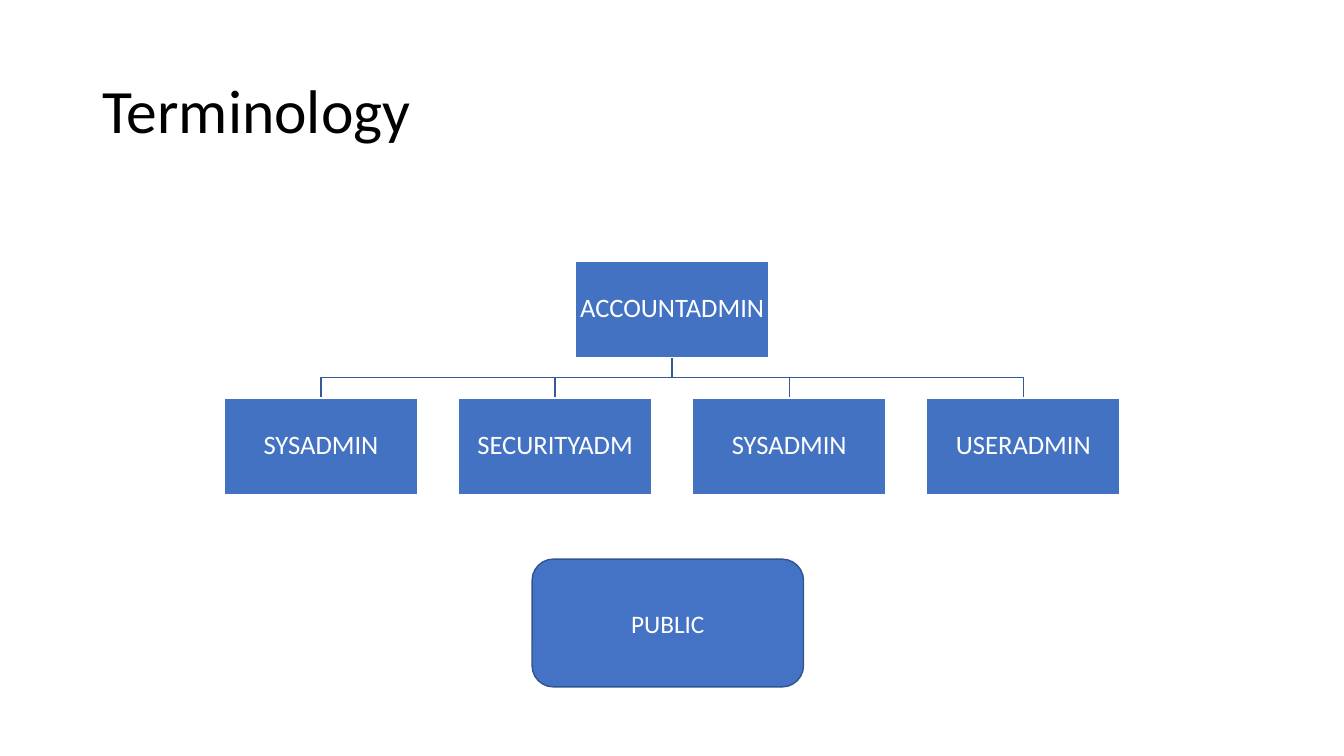
from pptx import Presentation
from pptx import util as u
from pptx.dml.color import RGBColor
from pptx.enum import shapes, text

FONT = "Calibri"
WHITE, BLACK = "FFFFFF", "000000"
ROLE_BLUE, BRANCH_BLUE = "4372C3", "345A99"
PUBLIC_BLUE, PUBLIC_EDGE = "4472C4", "31538F"


def color(hex_code):
    return RGBColor.from_string(hex_code)


class RoleSlide:
    """Holds the slide and its style; all lengths are in centimetres."""

    def __init__(self, slide):
        self.slide = slide

    def label(self, holder, wording, size, ink, align, margins, spacing):
        frame = holder.text_frame
        frame.word_wrap = True
        frame.vertical_anchor = text.MSO_ANCHOR.MIDDLE
        frame.margin_left = frame.margin_right = u.Cm(margins[0])
        frame.margin_top = frame.margin_bottom = u.Cm(margins[1])
        line = frame.paragraphs[0]
        line.text = wording
        line.alignment = align
        line.line_spacing = spacing
        line.font.name = FONT
        line.font.size = u.Pt(size)
        line.font.color.rgb = color(ink)

    def outline(self, shape, edge):
        shape.shadow.inherit = False
        shape.line.color.rgb = color(edge)
        shape.line.width = u.Pt(1)

    def title(self, wording, left, top, width, height):
        heading = self.slide.shapes.add_textbox(*map(u.Cm, (left, top, width, height)))
        self.label(heading, wording, 44, BLACK, text.PP_ALIGN.LEFT, (0.25, 0.13), 0.9)

    def box(self, wording, left, top, width, height, fill=ROLE_BLUE, edge=WHITE,
            kind=shapes.MSO_SHAPE.RECTANGLE, size=19, margins=(0.03, 0.03), spacing=0.9):
        role = self.slide.shapes.add_shape(kind, *map(u.Cm, (left, top, width, height)))
        role.fill.solid()
        role.fill.fore_color.rgb = color(fill)
        self.outline(role, edge)
        self.label(role, wording, size, WHITE, text.PP_ALIGN.CENTER, margins, spacing)

    def branch(self, start_x, start_y, end_x, end_y):
        """Draw an elbow line that turns halfway down."""
        middle_y = (start_y + end_y) / 2
        corners = [(start_x, middle_y), (end_x, middle_y), (end_x, end_y)]
        builder = self.slide.shapes.build_freeform(u.Cm(start_x), u.Cm(start_y))
        builder.add_line_segments([(u.Cm(x), u.Cm(y)) for x, y in corners], close=False)
        elbow = builder.convert_to_shape()
        elbow.fill.background()
        self.outline(elbow, BRANCH_BLUE)


def main():
    deck = Presentation()
    deck.slide_width, deck.slide_height = u.Cm(33.87), u.Cm(19.05)
    page = RoleSlide(deck.slides.add_slide(deck.slide_layouts[6]))
    page.title("Terminology", 2.33, 1.01, 29.21, 3.68)

    role_width, role_height, pitch = 4.87, 2.43, 5.9
    center, root_top, row_top = 16.94, 6.58, 10.03
    roles = ["SYSADMIN", "SECURITYADM", "SYSADMIN", "USERADMIN"]
    role_centers = [center + (i - (len(roles) - 1) / 2) * pitch for i in range(len(roles))]

    for x in reversed(role_centers):
        page.branch(center, root_top + role_height, x, row_top)
    page.box("ACCOUNTADMIN", center - role_width / 2, root_top, role_width, role_height)
    for role, x in zip(roles, role_centers):
        page.box(role, x - role_width / 2, row_top, role_width, role_height)

    page.box("PUBLIC", 13.41, 14.09, 6.84, 3.22, PUBLIC_BLUE, PUBLIC_EDGE,
             shapes.MSO_SHAPE.ROUNDED_RECTANGLE, 18, (0.25, 0.13), 1.0)
    deck.save("out.pptx")


if __name__ == "__main__":
    main()
